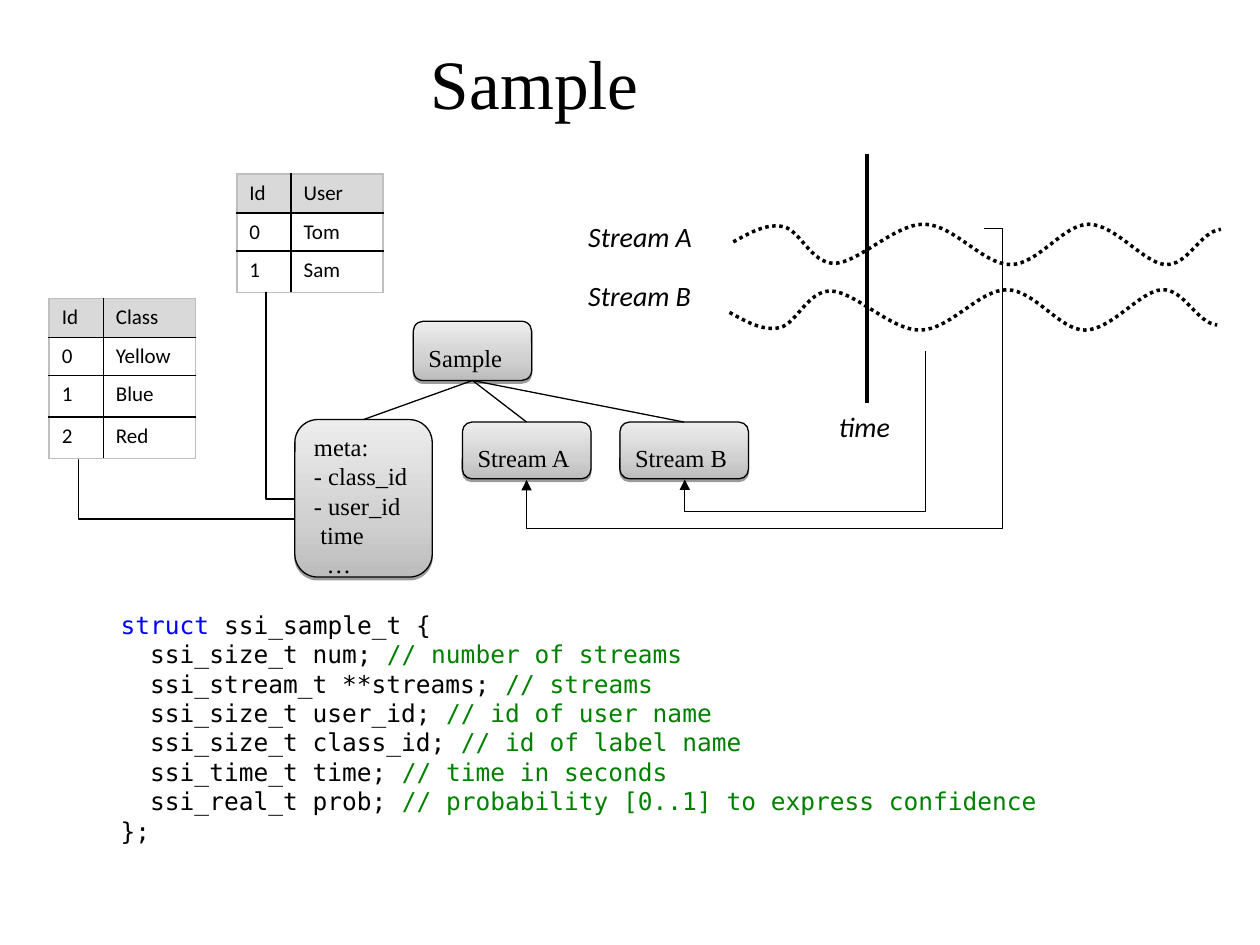
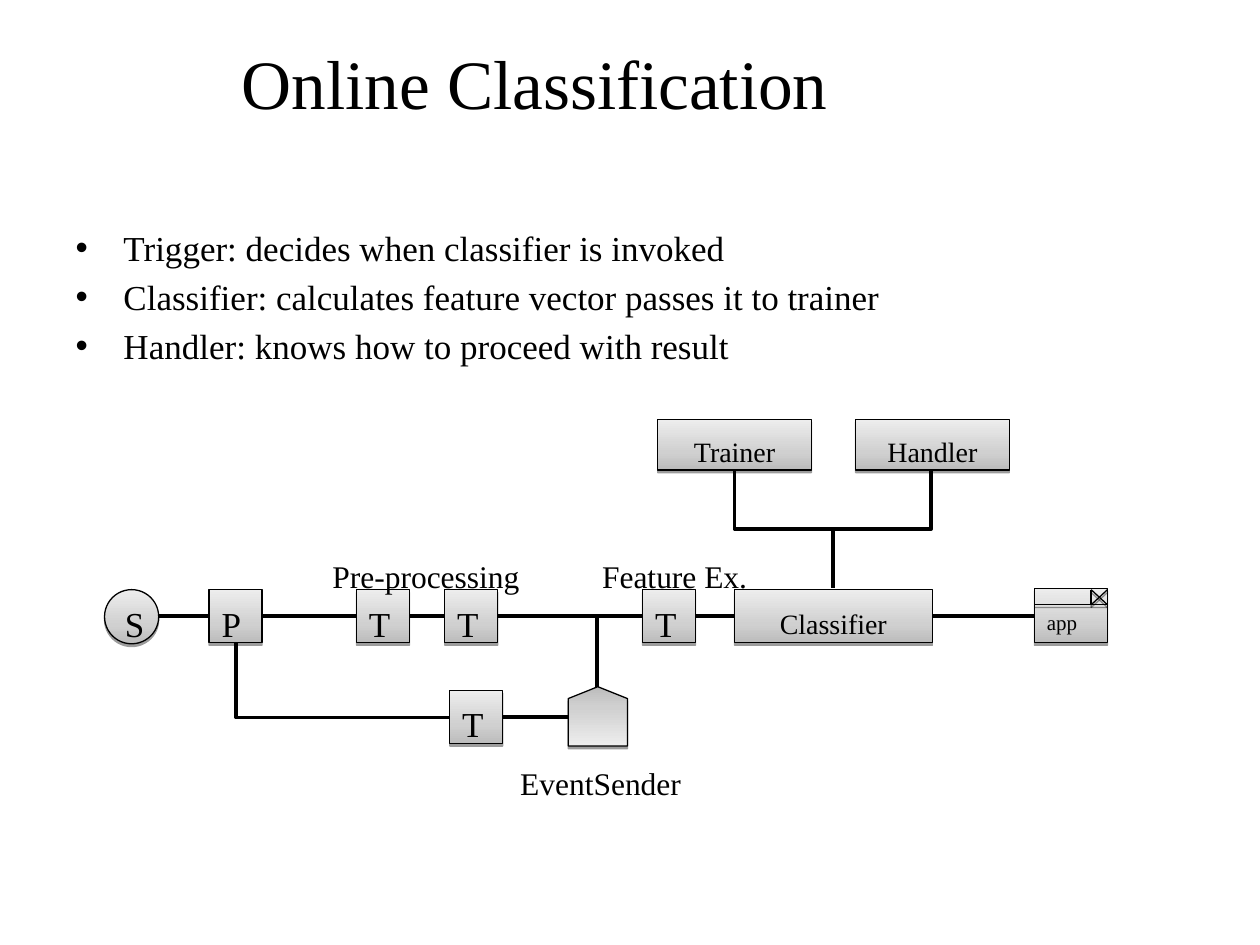
from lxml import etree
from pptx import Presentation
from pptx.dml.color import RGBColor
from pptx.enum.dml import MSO_LINE
from pptx.enum.shapes import MSO_CONNECTOR, MSO_SHAPE
from pptx.enum.text import MSO_ANCHOR, MSO_AUTO_SIZE, PP_ALIGN
from pptx.oxml.ns import qn
from pptx.util import Inches, Pt

STRAIGHT, ELBOW = MSO_CONNECTOR.STRAIGHT, MSO_CONNECTOR.ELBOW
RECT, ROUND, OVAL = MSO_SHAPE.RECTANGLE, MSO_SHAPE.ROUNDED_RECTANGLE, MSO_SHAPE.OVAL
WINDOW, OFFPAGE = MSO_SHAPE.FLOWCHART_PROCESS, MSO_SHAPE.FLOWCHART_OFFPAGE_CONNECTOR
LEFT, CENTER = PP_ALIGN.LEFT, PP_ALIGN.CENTER

BLACK = RGBColor(0, 0, 0)
WHITE = RGBColor(255, 255, 255)
KEYWORD = RGBColor(0, 0, 255)
COMMENT = RGBColor(0, 128, 0)
HEADER_GREY = RGBColor(0xD9, 0xD9, 0xD9)
EDGE_GREY = RGBColor(0xBF, 0xBF, 0xBF)
NODE_GRADIENT = [(0, "BCBCBC"), (35, "D0D0D0"), (100, "EDEDED")]
SERIF, SANS, MONO = "Times New Roman", "Calibri", "DejaVu Sans Mono"
NODE_INSETS = (0.1, 0.16, 0.1, 0.05)
THIN, THICK = 0.75, 2

# Slide 1: sample structure
CODE = [
    [("struct ", KEYWORD), ("ssi_sample_t {", BLACK)],
    [("  ssi_size_t num; ", BLACK), ("// number of streams", COMMENT)],
    [("  ssi_stream_t **streams; ", BLACK), ("// streams", COMMENT)],
    [("  ssi_size_t user_id; ", BLACK), ("// id of user name", COMMENT)],
    [("  ssi_size_t class_id; ", BLACK), ("// id of label name", COMMENT)],
    [("  ssi_time_t time; ", BLACK), ("// time in seconds", COMMENT)],
    [("  ssi_real_t prob; ", BLACK),
     ("// probability [0..1] to express confidence", COMMENT)],
    [("};", BLACK)],
]
BACKDROP = (6.88, 1.54, 0.94, 0.55)
ROOT = ("Sample", (3.28, 2.55, 0.94, 0.47))
STREAMS = [("Stream A", (3.67, 3.35, 1.02, 0.45)),
           ("Stream B", (4.92, 3.35, 1.02, 0.45))]
META_BOX = (2.34, 3.33, 1.09, 1.25)
META = [("meta:", 0), ("- class_id\v- user_id", 0), ("time", 0.05), ("…", 0.1)]
WAVE = [(5.82, 1.92), (5.95, 1.85), (6.08, 1.77), (6.22, 1.8), (6.35, 1.83),
        (6.44, 2.09), (6.62, 2.09), (6.81, 2.09), (7.1, 1.78), (7.33, 1.78),
        (7.57, 1.78), (7.8, 2.1), (8.02, 2.1), (8.24, 2.1), (8.44, 1.78),
        (8.64, 1.78), (8.85, 1.78), (9.08, 2.09), (9.25, 2.1), (9.43, 2.11),
        (9.52, 1.84), (9.69, 1.82)]
AXIS_LABELS = [("Stream A", (4.57, 1.69, 1.13, 0.37)),
               ("Stream B", (4.57, 2.16, 1.13, 0.37)),
               ("time", (6.56, 3.2, 0.63, 0.37))]
LOOKUPS = [
    ((0.39, 2.37), [0.31, 0.29, 0.33, 0.33],
     [("Id", "Class"), ("0", "Yellow"), ("1", "Blue"), ("2", "Red")]),
    ((1.88, 1.38), [0.31, 0.29, 0.33], [("Id", "User"), ("0", "Tom"), ("1", "Sam")]),
]
LOOKUP_COLS = [0.43, 0.73]

# Slide 2: classification pipeline
BULLETS = ["Trigger: decides when classifier is invoked",
           "Classifier: calculates feature vector passes it to trainer",
           "Handler: knows how to proceed with result"]
TOP, LOWER, STEP = 4.68, 5.48, 0.42
PIPELINE = [  # text, left, width, shape, size, alignment
    ("S", 0.83, 0.43, OVAL, 20, LEFT),
    ("P", 1.66, STEP, RECT, 20, LEFT),
    ("T", 2.83, STEP, RECT, 20, LEFT),
    ("T", 3.53, STEP, RECT, 20, LEFT),
    ("T", 5.1, STEP, RECT, 20, LEFT),
    ("Classifier", 5.83, 1.57, RECT, 16, CENTER),
    ("app", 8.21, 0.58, WINDOW, 12, LEFT),
]
HELPERS = [("Trainer", 5.22), ("Handler", 6.79)]
CAPTIONS = [("EventSender", (4.03, 5.9, 1.51, 0.51)),
            ("Pre-processing", (2.54, 4.26, 1.7, 0.51)),
            ("Feature Ex.", (4.68, 4.26, 1.38, 0.51))]


def inches(values):
    return [Inches(v) for v in values]


def style(font, size, name=SERIF, color=BLACK, italic=None):
    font.size, font.name, font.italic = Pt(size), name, italic
    font.color.rgb = color


def set_insets(tf, insets):
    tf.margin_left, tf.margin_top, tf.margin_right, tf.margin_bottom = inches(insets)


def add_shadow(spPr):
    effects = spPr.find(qn("a:effectLst"))
    shadow = etree.SubElement(effects, qn("a:outerShdw"), blurRad="0", dist="20000",
                              dir="5400000", rotWithShape="0")
    color = etree.SubElement(shadow, qn("a:srgbClr"), val="000000")
    etree.SubElement(color, qn("a:alpha"), val="38000")


def node(shapes, kind, box, text="", size=14, align=LEFT):
    sp = shapes.add_shape(kind, *inches(box))
    sp.fill.gradient()
    sp.fill.gradient_angle = 90
    stops = sp._element.spPr.find(".//" + qn("a:gsLst"))
    stops.clear()
    for pos, rgb in NODE_GRADIENT:
        stop = etree.SubElement(stops, qn("a:gs"), pos=str(pos * 1000))
        etree.SubElement(stop, qn("a:srgbClr"), val=rgb)
    sp.line.color.rgb, sp.line.width = BLACK, Pt(THIN)
    sp.shadow.inherit = False
    add_shadow(sp._element.spPr)
    tf = sp.text_frame
    set_insets(tf, NODE_INSETS)
    tf.word_wrap, tf.vertical_anchor = False, MSO_ANCHOR.MIDDLE
    if text:
        tf.text = text
        tf.paragraphs[0].alignment = align
        style(tf.paragraphs[0].runs[0].font, size)
    return sp


def line(shapes, start, end, width=THIN, kind=STRAIGHT):
    cxn = shapes.add_connector(kind, *inches(start + end))
    cxn.line.color.rgb, cxn.line.width = BLACK, Pt(width)
    etree.SubElement(cxn._element.spPr, qn("a:effectLst"))
    return cxn


def bent(shapes, box, rot, flip=False, adj=(), segments=3, width=THIN, arrow=False):
    """Elbow line in an unrotated box, turned by rot; adj are bend positions."""
    x, y, w, h = box
    cxn = line(shapes, (x, y), (x + w, y + h), width, ELBOW)
    spPr = cxn._element.spPr
    xfrm, geom = spPr.find(qn("a:xfrm")), spPr.find(qn("a:prstGeom"))
    xfrm.set("rot", str(rot * 60000))
    if flip:
        xfrm.set("flipH", "1")
    geom.set("prst", f"bentConnector{segments}")
    guides = geom.find(qn("a:avLst"))
    for i, value in enumerate(adj, 1):
        etree.SubElement(guides, qn("a:gd"), name=f"adj{i}",
                         fmla=f"val {round(value * 100000)}")
    if arrow:
        etree.SubElement(spPr.find(qn("a:ln")), qn("a:tailEnd"), type="triangle")


def label(s, text, box, size, name=SERIF, italic=None, insets=(0.1, 0.05, 0.1, 0.05)):
    tf = s.shapes.add_textbox(*inches(box)).text_frame
    set_insets(tf, insets)
    tf.word_wrap = False
    tf.text = text
    style(tf.paragraphs[0].runs[0].font, size, name, italic=italic)


def new_slide(prs, layout, title):
    s = prs.slides.add_slide(prs.slide_layouts[layout])
    t = s.shapes.title
    t.left, t.top, t.width, t.height = inches((1.33, 0.3, 5.83, 0.7))
    tf = t.text_frame
    tf.text = title
    tf.auto_size, tf.vertical_anchor = MSO_AUTO_SIZE.NONE, MSO_ANCHOR.MIDDLE
    tf.paragraphs[0].alignment = CENTER
    style(tf.paragraphs[0].runs[0].font, 39.6)
    return s


def indent(p, left, bullet=None):
    pPr = p._p.get_or_add_pPr()
    pPr.set("marL", str(Inches(left)))
    if bullet:
        pPr.set("indent", str(-Inches(left)))
        etree.SubElement(pPr, qn("a:buChar"), char=bullet)


def wave(s, points):
    """Dotted curve; every three points after the first make one cubic Bezier."""
    start, *rest = [inches(point) for point in points]
    builder = s.shapes.build_freeform(*start, scale=1.0)
    builder.add_line_segments(rest, close=False)
    sp = builder.convert_to_shape()
    outline = sp._element.spPr.find(".//" + qn("a:path"))
    steps = outline.findall(qn("a:lnTo"))
    for i in range(0, len(steps), 3):
        curve = etree.SubElement(outline, qn("a:cubicBezTo"))
        for step in steps[i:i + 3]:
            curve.append(step[0])
            outline.remove(step)
    sp.fill.background()
    sp.line.color.rgb, sp.line.width = BLACK, Pt(THICK)
    sp.line.dash_style = MSO_LINE.ROUND_DOT
    sp.shadow.inherit = False


def lookup_table(s, origin, heights, rows):
    size = (sum(LOOKUP_COLS), sum(heights))
    table = s.shapes.add_table(len(rows), 2, *inches(origin + size)).table
    for column, width in zip(table.columns, LOOKUP_COLS):
        column.width = Inches(width)
    last = len(rows) - 1
    for r, (values, height) in enumerate(zip(rows, heights)):
        table.rows[r].height = Inches(height)
        for c, value in enumerate(values):
            cell = table.cell(r, c)
            tcPr = cell._tc.get_or_add_tcPr()
            outer = {"lnL": c == 0, "lnR": c == 1, "lnT": r == 0, "lnB": r == last}
            for side, is_outer in outer.items():
                ln = etree.SubElement(tcPr, qn("a:" + side), w=str(Pt(1)))
                fill = etree.SubElement(ln, qn("a:solidFill"))
                etree.SubElement(fill, qn("a:srgbClr"),
                                 val=str(EDGE_GREY if is_outer else BLACK))
            if r == 0:
                cell.fill.solid()
                cell.fill.fore_color.rgb = HEADER_GREY
            else:
                cell.fill.background()
            cell.text = value
            font = cell.text_frame.paragraphs[0].runs[0].font
            style(font, 12, SANS)
            font.bold = False


def sample_slide(prs):
    s = new_slide(prs, 5, "Sample")
    backdrop = s.shapes.add_shape(RECT, *inches(BACKDROP))
    backdrop.fill.solid()
    backdrop.fill.fore_color.rgb = WHITE
    backdrop.line.fill.background()
    backdrop.shadow.inherit = False

    tf = s.shapes.add_textbox(*inches((0.86, 4.79, 8.44, 2.52))).text_frame
    tf.word_wrap = True
    p = tf.paragraphs[0]
    for i, parts in enumerate(CODE):
        if i:
            p.add_line_break()
        for text, color in parts:
            r = p.add_run()
            r.text = text
            style(r.font, 14, MONO, color)

    for text, box in [ROOT] + STREAMS:
        node(s.shapes, ROUND, box, text)
    tf = node(s.shapes, ROUND, META_BOX).text_frame
    for i, (text, left) in enumerate(META):
        p = tf.add_paragraph() if i else tf.paragraphs[0]
        p.text = text
        p.alignment = LEFT
        indent(p, left)
        for r in p.runs:
            style(r.font, 14)
    x, y, w, h = ROOT[1]
    for left, top, width, _ in [META_BOX] + [box for _, box in STREAMS]:
        line(s.shapes, (x + w / 2, y + h), (left + width / 2, top))

    wave(s, WAVE)
    wave(s, [(x - 0.03, 4.4 - y) for x, y in WAVE])
    for text, box in AXIS_LABELS:
        label(s, text, box, 16, SANS, italic=True)
    bent(s.shapes, (5.88, 2.34, 1.02, 1.91), 90, adj=[1.246], width=0.5, arrow=True)
    bent(s.shapes, (4.18, 1.81, 3.63, 2), 0, True, [-0.04, 1.193], 4, 0.5, True)
    line(s.shapes, (6.88, 1.22), (6.88, 3.2), THICK)
    bent(s.shapes, (0.62, 3.65, 1.72, 0.47), 180, adj=[0.997])
    for origin, heights, rows in LOOKUPS:
        lookup_table(s, origin, heights, rows)
    bent(s.shapes, (2.11, 2.32, 0.23, 1.64), 180, segments=2)


def classification_slide(prs):
    s = new_slide(prs, 1, "Online Classification")
    body = s.placeholders[1]
    body.left, body.top, body.width, body.height = inches((0.5, 1.75, 9, 4.58))
    tf = body.text_frame
    tf.text = "\n".join(BULLETS)
    tf.auto_size = MSO_AUTO_SIZE.NONE
    for i, p in enumerate(tf.paragraphs):
        p.space_before = Pt(4 if i else 0)
        indent(p, 0.38, "•")
        style(p.runs[0].font, 20)

    middle = TOP + STEP / 2
    for (_, left, width, *_), (_, right, *_) in zip(PIPELINE, PIPELINE[1:]):
        line(s.shapes, (left + width, middle), (right, middle), THICK)
    for text, left, width, kind, size, align in PIPELINE[:-1]:
        height = width if kind == OVAL else STEP
        node(s.shapes, kind, (left, TOP, width, height), text, size, align)

    text, left, width, kind, size, align = PIPELINE[-1]
    window = s.shapes.add_group_shape().shapes
    node(window, kind, (left, TOP - 0.01, width, 0.43), text, size, align)
    right, bar, button = left + width, TOP + 0.12, left + 0.45
    for start, end in [((left, bar), (right, bar)), ((button, TOP), (button, bar)),
                       ((button, TOP), (right, bar)), ((right, TOP), (button, bar))]:
        add_shadow(line(window, start, end)._element.spPr)

    lower_middle = LOWER + STEP / 2
    node(s.shapes, RECT, (3.57, LOWER, STEP, STEP), "T", 20)
    node(s.shapes, OFFPAGE, (4.51, 5.45, 0.47, 0.47)).rotation = 180
    bent(s.shapes, (2.43, 4.55, 0.59, 1.7), 270, True, segments=2, width=THICK)
    line(s.shapes, (3.99, lower_middle), (4.51, lower_middle), THICK)
    line(s.shapes, (4.74, 5.45), (4.74, middle), THICK)

    for text, left in HELPERS:
        node(s.shapes, RECT, (left, 3.33, 1.22, 0.4), text, 16, CENTER)
    bent(s.shapes, (5.75, 3.81, 0.94, 0.78), 270, True, [0.5], width=THICK)
    bent(s.shapes, (6.53, 3.81, 0.94, 0.78), 90, adj=[0.5], width=THICK)
    for text, box in CAPTIONS:
        label(s, text, box, 18, insets=NODE_INSETS)


def main():
    prs = Presentation()
    prs.slide_width, prs.slide_height = inches((10, 7.5))
    sample_slide(prs)
    classification_slide(prs)
    prs.save("out.pptx")


if __name__ == "__main__":
    main()
